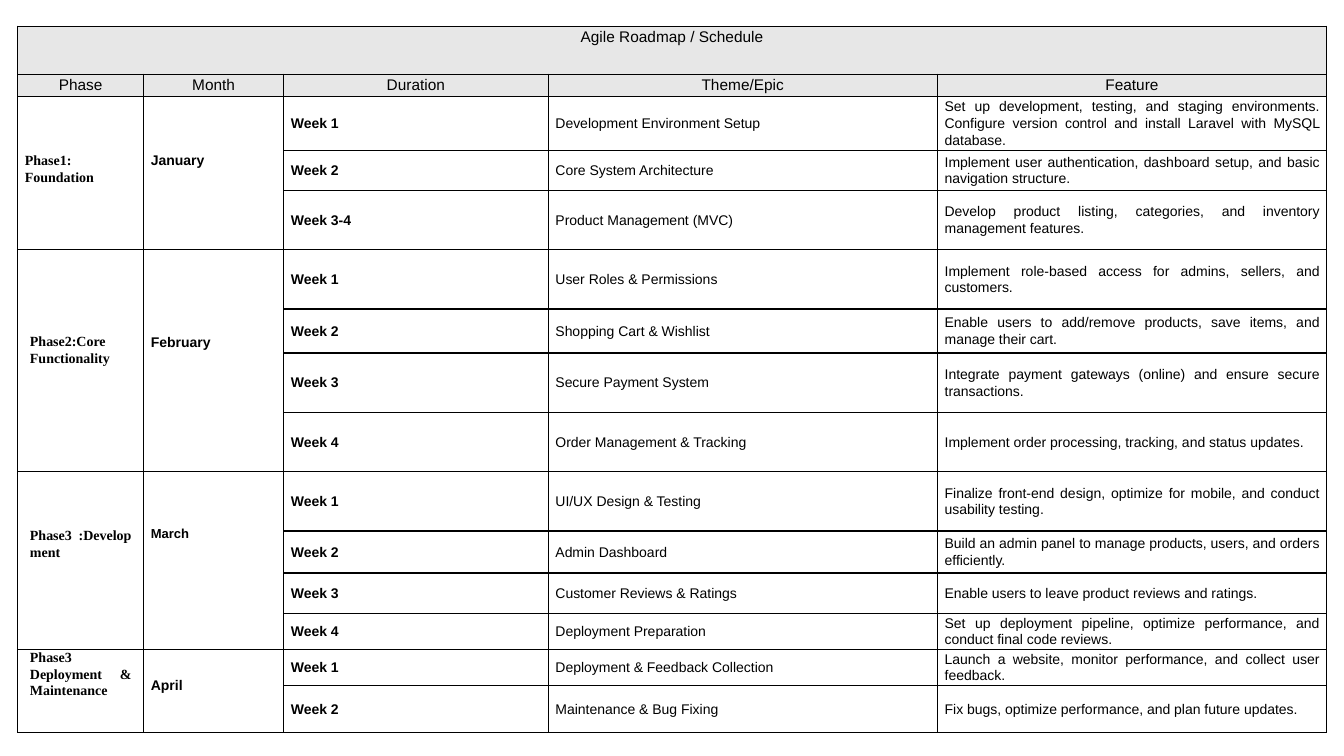
from lxml import etree
from pptx import Presentation
from pptx.dml.color import RGBColor
from pptx.enum.text import MSO_ANCHOR, PP_ALIGN
from pptx.oxml.ns import qn
from pptx.util import Pt

LEFT, CENTER, JUSTIFY = PP_ALIGN.LEFT, PP_ALIGN.CENTER, PP_ALIGN.JUSTIFY
TOP, MIDDLE = MSO_ANCHOR.TOP, MSO_ANCHOR.MIDDLE
BLACK = RGBColor(0x00, 0x00, 0x00)
GREY = RGBColor(0xE7, 0xE7, 0xE7)
SANS, SERIF = "Arial", "Times New Roman"

COLUMN_WIDTHS = [90, 100, 189, 278, 278]
HEADER_HEIGHTS = [34.3, 15.7]
TITLE = "Agile Roadmap / Schedule"
HEADINGS = ["Phase", "Month", "Duration", "Theme/Epic", "Feature"]

PHASES = [
    (dict(text="Phase1: Foundation", inset=5.2, offset=40),
     dict(text="January", offset=40), [
        (38.6, "Week 1", "Development Environment Setup",
         "Set up development, testing, and staging environments. Configure "
         "version control and install Laravel with MySQL database."),
        (28.6, "Week 2", "Core System Architecture",
         "Implement user authentication, dashboard setup, and basic "
         "navigation structure."),
        (42.3, "Week 3-4", "Product Management (MVC)",
         "Develop product listing, categories, and inventory management "
         "features."),
    ]),
    (dict(text="Phase2:Core Functionality", inset=8.8, offset=60),
     dict(text="February", offset=60), [
        (42.6, "Week 1", "User Roles & Permissions",
         "Implement role-based access for admins, sellers, and customers."),
        (31.4, "Week 2", "Shopping Cart & Wishlist",
         "Enable users to add/remove products, save items, and manage "
         "their cart."),
        (42.3, "Week 3", "Secure Payment System",
         "Integrate payment gateways (online) and ensure secure "
         "transactions."),
        (42.3, "Week 4", "Order Management & Tracking",
         "Implement order processing, tracking, and status updates."),
    ]),
    (dict(text="Phase3 :Development", inset=8.8, offset=40),
     dict(text="March", offset=39, size=9.3), [
        (42.6, "Week 1", "UI/UX Design & Testing",
         "Finalize front-end design, optimize for mobile, and conduct "
         "usability testing."),
        (30, "Week 2", "Admin Dashboard",
         "Build an admin panel to manage products, users, and orders "
         "efficiently."),
        (28.8, "Week 3", "Customer Reviews & Ratings",
         "Enable users to leave product reviews and ratings."),
        (25.7, "Week 4", "Deployment Preparation",
         "Set up deployment pipeline, optimize performance, and conduct "
         "final code reviews."),
    ]),
    (dict(text="Phase3 Deployment & Maintenance", inset=8.8),
     dict(text="April", offset=20), [
        (25.7, "Week 1", "Deployment & Feedback Collection",
         "Launch a website, monitor performance, and collect user "
         "feedback."),
        (33.6, "Week 2", "Maintenance & Bug Fixing",
         "Fix bugs, optimize performance, and plan future updates."),
    ]),
]


def write_text(cell, text, font=SANS, size=10, bold=False, align=JUSTIFY,
               spacing=1.07, anchor=TOP, inset=5.2, offset=0):
    cell.margin_left = cell.margin_right = Pt(inset)
    cell.margin_top, cell.margin_bottom = Pt(offset), 0
    cell.vertical_anchor = anchor
    para = cell.text_frame.paragraphs[0]
    para.alignment, para.line_spacing = align, spacing
    span = para.add_run()
    span.text = text
    span.font.name, span.font.size, span.font.bold = font, Pt(size), bold
    span.font.color.rgb = BLACK


class Schedule:
    def __init__(self, page, border=BLACK, border_width=1, header_fill=GREY):
        self.page = page
        self.border = border
        self.border_width = border_width
        self.header_fill = header_fill

    def add_grid(self, left, top, widths, heights):
        frame = self.page.shapes.add_table(
            len(heights), len(widths), Pt(left), Pt(top),
            Pt(sum(widths)), Pt(sum(heights)))
        self.table = frame.table
        self.table.first_row = self.table.horz_banding = False
        for column, width in zip(self.table.columns, widths):
            column.width = Pt(width)
        for row, height in zip(self.table.rows, heights):
            row.height = Pt(height)
        for cell in self.table.iter_cells():
            self.add_borders(cell)
            cell.fill.background()

    def add_borders(self, cell):
        properties = cell._tc.get_or_add_tcPr()
        for side in ("a:lnL", "a:lnR", "a:lnT", "a:lnB"):
            line = etree.SubElement(properties, qn(side),
                                    w=str(Pt(self.border_width)))
            fill = etree.SubElement(line, qn("a:solidFill"))
            etree.SubElement(fill, qn("a:srgbClr"), val=str(self.border))

    def add_header(self, row, column, text):
        cell = self.table.cell(row, column)
        cell.fill.solid()
        cell.fill.fore_color.rgb = self.header_fill
        write_text(cell, text, size=11, align=CENTER, spacing=1.15, inset=2.2)

    def add_phase(self, first, phase, month, weeks):
        last = first + len(weeks) - 1
        for column, (entry, font) in enumerate(((phase, SERIF), (month, SANS))):
            cell = self.table.cell(first, column)
            cell.merge(self.table.cell(last, column))
            write_text(cell, font=font, bold=True, **entry)
        for row, (_, week, theme, feature) in enumerate(weeks, first):
            write_text(self.table.cell(row, 2), week, bold=True, anchor=MIDDLE)
            write_text(self.table.cell(row, 3), theme, align=LEFT, anchor=MIDDLE)
            write_text(self.table.cell(row, 4), feature, anchor=MIDDLE)


def main():
    deck = Presentation()
    deck.slide_width, deck.slide_height = Pt(960), Pt(540)
    page = deck.slides.add_slide(deck.slide_layouts[6])
    schedule = Schedule(page)
    heights = HEADER_HEIGHTS + [week[0] for _, _, weeks in PHASES for week in weeks]
    schedule.add_grid(12.6, 18.7, COLUMN_WIDTHS, heights)
    schedule.table.cell(0, 0).merge(schedule.table.cell(0, len(HEADINGS) - 1))
    schedule.add_header(0, 0, TITLE)
    for column, heading in enumerate(HEADINGS):
        schedule.add_header(1, column, heading)
    first = len(HEADER_HEIGHTS)
    for phase, month, weeks in PHASES:
        schedule.add_phase(first, phase, month, weeks)
        first += len(weeks)
    deck.save("out.pptx")


if __name__ == "__main__":
    main()
